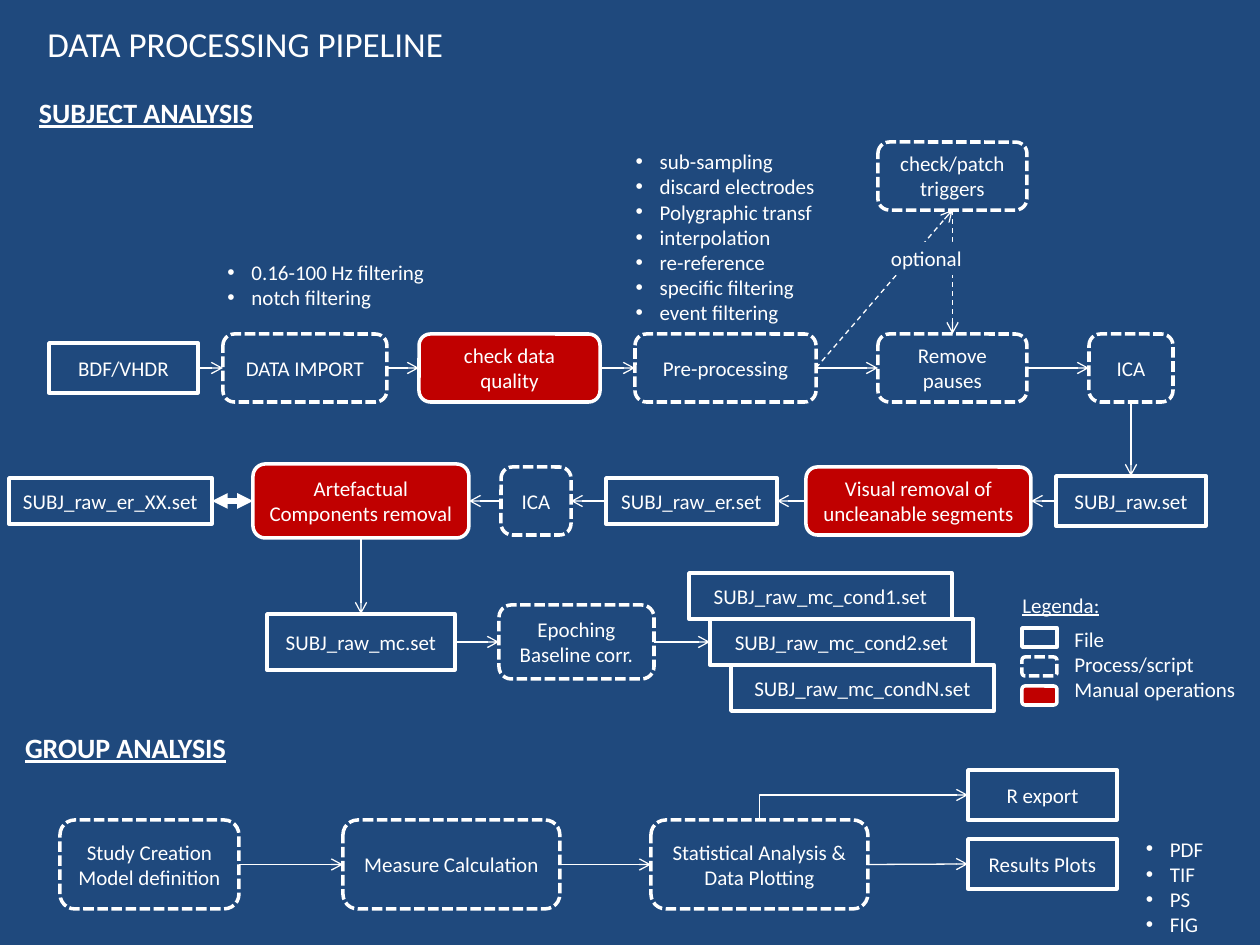
from dataclasses import dataclass

from lxml import etree
from pptx import Presentation
from pptx.dml.color import RGBColor
from pptx.enum.dml import MSO_LINE
from pptx.enum.shapes import MSO_CONNECTOR, MSO_SHAPE
from pptx.enum.text import MSO_ANCHOR, PP_ALIGN
from pptx.oxml.ns import qn
from pptx.util import Emu, Pt

RECT, ROUND = MSO_SHAPE.RECTANGLE, MSO_SHAPE.ROUNDED_RECTANGLE
STRAIGHT, ELBOW = MSO_CONNECTOR.STRAIGHT, MSO_CONNECTOR.ELBOW
SHORT_DASH, DASH = MSO_LINE.SQUARE_DOT, MSO_LINE.DASH
LEFT_ALIGN, CENTER = PP_ALIGN.LEFT, PP_ALIGN.CENTER
MIDDLE = MSO_ANCHOR.MIDDLE
TOP, LEFT, BOTTOM, RIGHT = range(4)
PX_PER_INCH = 126
BULLET_INDENT = 24


@dataclass(frozen=True)
class Theme:
    background: RGBColor = RGBColor(0x1F, 0x49, 0x7D)
    ink: RGBColor = RGBColor(0xFF, 0xFF, 0xFF)
    manual: RGBColor = RGBColor(0xC0, 0x00, 0x00)
    font: str = "Calibri"
    title: int = 20
    heading: int = 16
    body: int = 12
    outline: int = 2
    thin: float = 0.75
    thick: int = 3


THEME = Theme()


def px(length):
    return Emu(round(length * 914400 / PX_PER_INCH))


@dataclass(frozen=True)
class Box:
    left: int
    top: int
    width: int
    height: int

    def inner(self, left, top, width, height):
        return Box(self.left + left, self.top + top, width, height)

    def emu(self):
        return [px(n) for n in (self.left, self.top, self.width, self.height)]


def write(shape, text, size=THEME.body, align=LEFT_ALIGN, bold=False, underline=False):
    frame = shape.text_frame
    frame.word_wrap = True
    frame.text = text
    for para in frame.paragraphs:
        para.alignment = align
        para.font.name = THEME.font
        para.font.size = Pt(size)
        para.font.color.rgb = THEME.ink
        para.font.bold = bold
        para.font.underline = underline


def add_text(page, box, text, **style):
    write(page.shapes.add_textbox(*box.emu()), text, **style)


def add_panel(page, box, kind=ROUND, fill=None, outlined=False):
    shape = page.shapes.add_shape(kind, *box.emu())
    shape.shadow.inherit = False
    shape.text_frame.vertical_anchor = MIDDLE
    if fill is None:
        shape.fill.background()
    else:
        shape.fill.solid()
        shape.fill.fore_color.rgb = fill
    if outlined:
        shape.line.color.rgb = THEME.ink
        shape.line.width = Pt(THEME.outline)
    else:
        shape.line.fill.background()
    return shape


def add_file(page, box, text=""):
    shape = add_panel(page, box, RECT, outlined=True)
    write(shape, text, align=CENTER)
    return shape


def add_process(page, box, text=""):
    shape = add_panel(page, box, outlined=True)
    shape.line.dash_style = SHORT_DASH
    write(shape, text, align=CENTER)
    return shape


def add_manual(page, box, text=""):
    shape = add_panel(page, box, fill=THEME.manual, outlined=True)
    write(shape, text, align=CENTER)
    return shape


def add_label(page, box, text, **style):
    write(add_panel(page, box, fill=THEME.background), text, **style)


def add_heading(page, box, text):
    add_label(page, box, text, size=THEME.heading, bold=True, underline=True)


def add_bullets(page, box, items):
    shape = add_panel(page, box)
    write(shape, "\n".join(items))
    for para in shape.text_frame.paragraphs:
        props = para._p.get_or_add_pPr()
        props.set("marL", str(px(BULLET_INDENT)))
        props.set("indent", str(-px(BULLET_INDENT)))
        etree.SubElement(props, qn("a:buFont")).set("typeface", "Arial")
        etree.SubElement(props, qn("a:buChar")).set("char", "•")


def connect(page, source, target, sites=(RIGHT, LEFT), kind=STRAIGHT,
            width=THEME.thin, dash=None, head=None, tail="arrow"):
    link = page.shapes.add_connector(kind, 0, 0, 0, 0)
    link.begin_connect(source, sites[0])
    link.end_connect(target, sites[1])
    link.line.color.rgb = THEME.ink
    link.line.width = Pt(width)
    if dash is not None:
        link.line.dash_style = dash
    props = link._element.spPr
    outline = props.find(qn("a:ln"))
    for tag, end in (("a:headEnd", head), ("a:tailEnd", tail)):
        if end:
            etree.SubElement(outline, qn(tag)).set("type", end)
    etree.SubElement(props, qn("a:effectLst"))
    return link


def connect_up_then_right(page, source, target):
    link = connect(page, source, target, (TOP, LEFT), ELBOW)
    left, top, width, height = link.left, link.top, link.width, link.height
    link.left = left + (width - height) // 2
    link.top = top + (height - width) // 2
    link.width, link.height = height, width
    props = link._element.spPr
    props.find(qn("a:prstGeom")).set("prst", "bentConnector2")
    frame = props.find(qn("a:xfrm"))
    frame.attrib.pop("flipV", None)
    frame.set("rot", str(270 * 60000))


def add_row(page, box, middle, steps):
    return [make(page, box.inner(left, middle - height // 2, width, height), text)
            for make, left, width, height, text in steps]


def connect_row(page, shapes, sites=(RIGHT, LEFT)):
    for source, target in zip(shapes, shapes[1:]):
        connect(page, source, target, sites)


def draw_subject(page, box):
    add_heading(page, box.inner(25, 0, 309, 33), "SUBJECT ANALYSIS")
    add_bullets(page, box.inner(212, 157, 233, 63), ["0.16-100 Hz filtering", "notch filtering"])
    add_bullets(page, box.inner(614, 45, 227, 192), [
        "sub-sampling", "discard electrodes", "Polygraphic transf", "interpolation",
        "re-reference", "specific filtering", "event filtering"])
    first = add_row(page, box, 272, [
        (add_file, 49, 149, 50, "BDF/VHDR"),
        (add_process, 223, 164, 68, "DATA IMPORT"),
        (add_manual, 419, 181, 68, "check data quality"),
        (add_process, 635, 181, 68, "Pre-processing"),
        (add_process, 878, 149, 68, "Remove pauses"),
        (add_process, 1089, 84, 68, "ICA")])
    second = add_row(page, box, 405, [
        (add_file, 1056, 150, 50, "SUBJ_raw.set"),
        (add_manual, 806, 225, 68, "Visual removal of uncleanable segments"),
        (add_file, 606, 171, 46, "SUBJ_raw_er.set"),
        (add_process, 501, 70, 68, "ICA"),
        (add_manual, 253, 216, 74, "Artefactual Components removal")])
    third = add_row(page, box, 546, [
        (add_file, 267, 188, 56, "SUBJ_raw_mc.set"),
        (add_process, 499, 155, 74, "Epoching\nBaseline corr.")])
    conditions = [
        add_file(page, box.inner(689 + 21 * i, 477 + 46 * i, 263, 46), f"SUBJ_raw_mc_cond{name}.set")
        for i, name in enumerate("12N")]
    connect_row(page, first)
    connect_row(page, second, (LEFT, RIGHT))
    connect_row(page, third + [conditions[1]])
    connect(page, first[-1], second[0], (BOTTOM, TOP))
    connect(page, second[-1], third[0], (BOTTOM, TOP))

    cleaned = add_file(page, box.inner(9, 382, 203, 46), "SUBJ_raw_er_XX.set")
    connect(page, cleaned, second[-1], width=THEME.thick, head="triangle", tail="triangle")

    triggers = add_process(page, box.inner(878, 46, 149, 68), "check/patch\ntriggers")
    connect(page, first[3], triggers, (RIGHT, BOTTOM), dash=DASH)
    connect(page, triggers, first[4], (BOTTOM, TOP), dash=DASH)
    add_label(page, box.inner(877, 146, 108, 33), "optional")


def draw_legend(page, box):
    add_text(page, box.inner(0, 0, 110, 38), "Legenda:", underline=True)
    for i, make in enumerate((add_file, add_process, add_manual)):
        make(page, box.inner(12, 42 + 29 * i, 35, 19))
    add_text(page, box.inner(52, 34, 193, 89), "File\nProcess/script\nManual operations")


def draw_group(page, box):
    add_heading(page, box.inner(11, 0, 309, 33), "GROUP ANALYSIS")
    steps = add_row(page, box, 133, [
        (add_process, 60, 179, 89, "Study Creation\nModel definition"),
        (add_process, 343, 217, 89, "Measure Calculation"),
        (add_process, 651, 217, 89, "Statistical Analysis & Data Plotting"),
        (add_file, 968, 149, 50, "Results Plots")])
    connect_row(page, steps)
    export = add_file(page, box.inner(968, 39, 149, 50), "R export")
    connect_up_then_right(page, steps[2], export)
    add_bullets(page, box.inner(1128, 99, 118, 113), ["PDF", "TIF", "PS", "FIG"])


def main():
    deck = Presentation()
    deck.slide_width, deck.slide_height = px(1260), px(945)
    page = deck.slides.add_slide(deck.slide_layouts[6])
    page.background.fill.solid()
    page.background.fill.fore_color.rgb = THEME.background
    add_text(page, Box(35, 16, 1160, 55), "DATA PROCESSING PIPELINE", size=THEME.title)
    draw_subject(page, Box(0, 96, 1260, 620))
    draw_legend(page, Box(1010, 586, 245, 123))
    draw_group(page, Box(0, 731, 1260, 214))
    deck.save("out.pptx")


if __name__ == "__main__":
    main()
